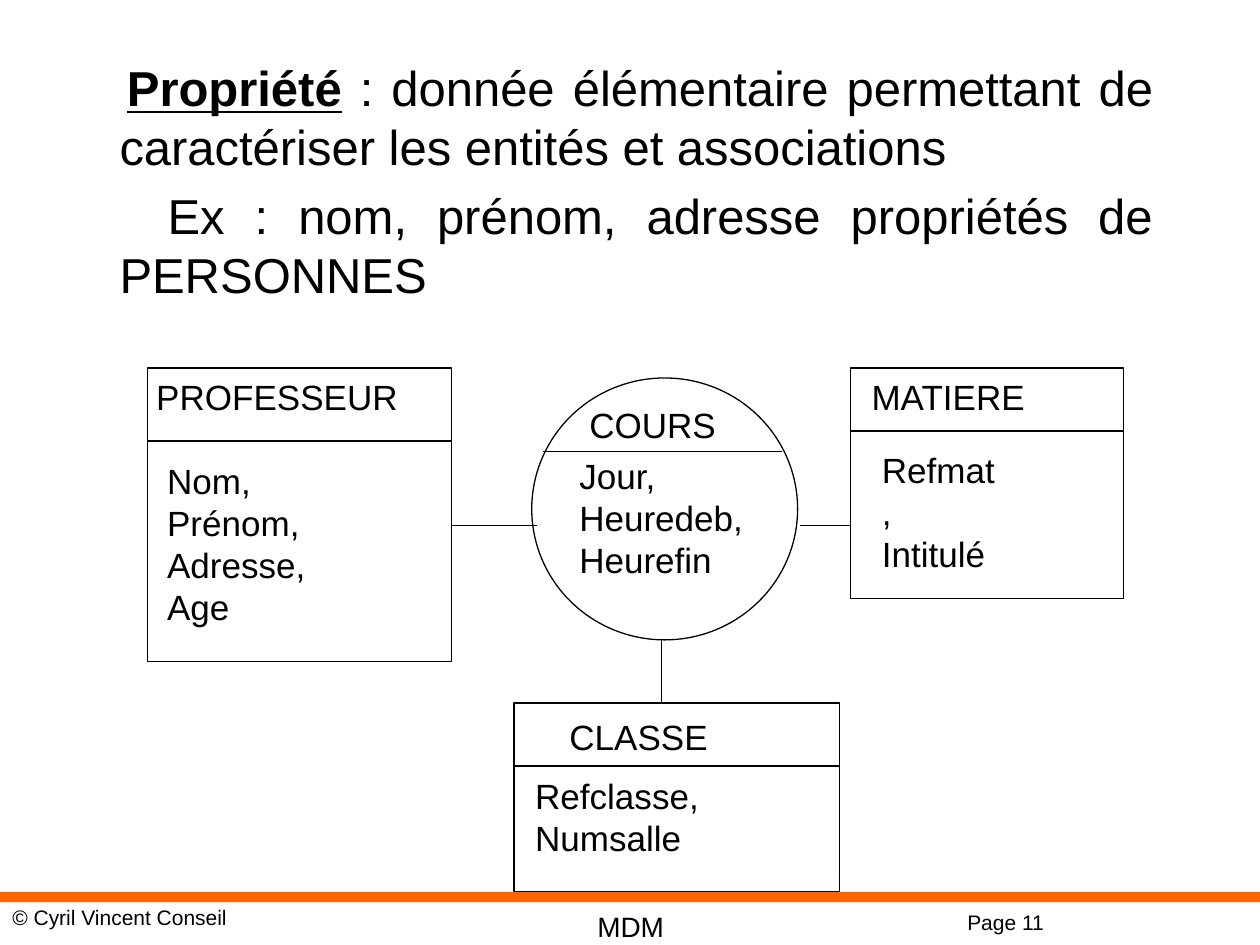
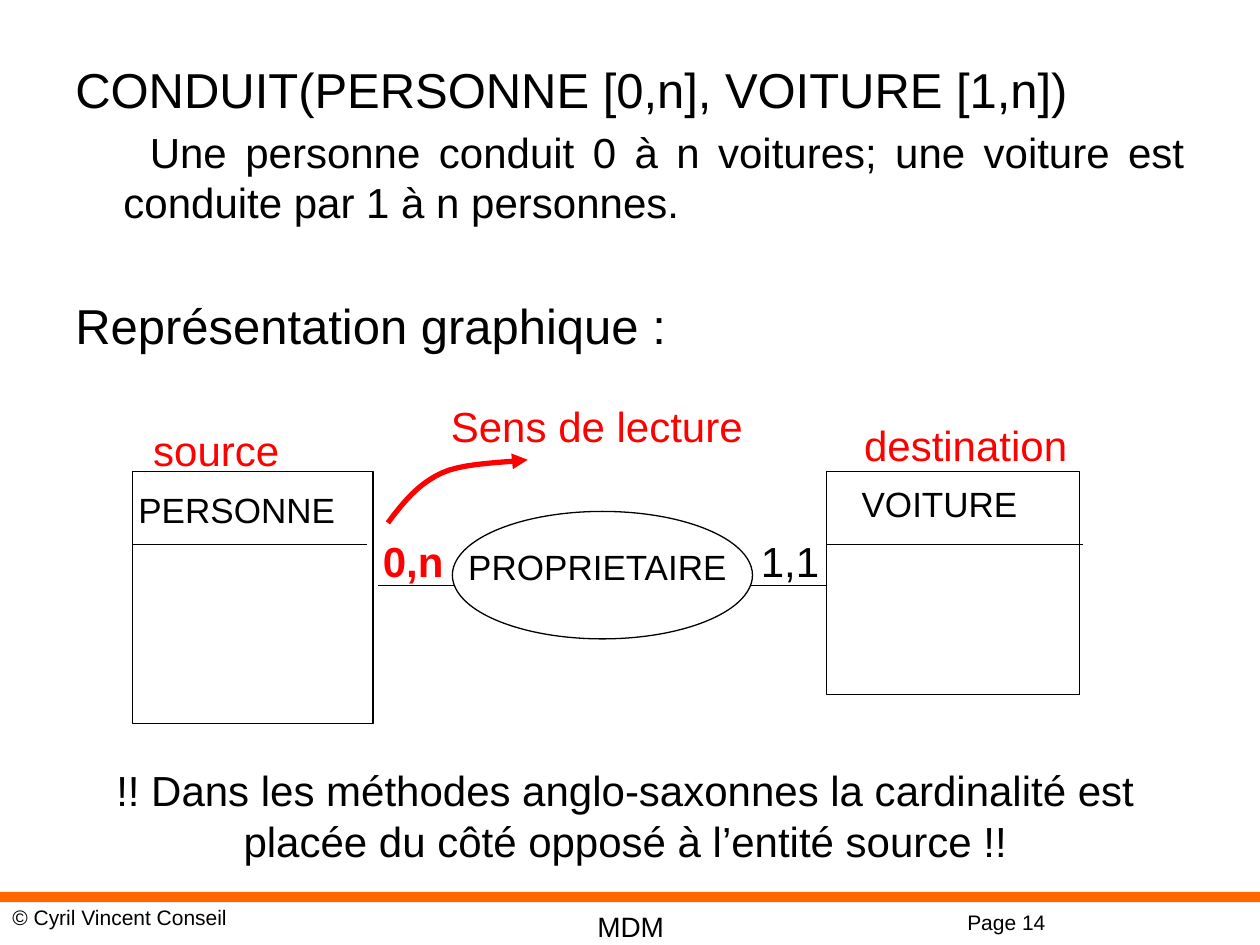
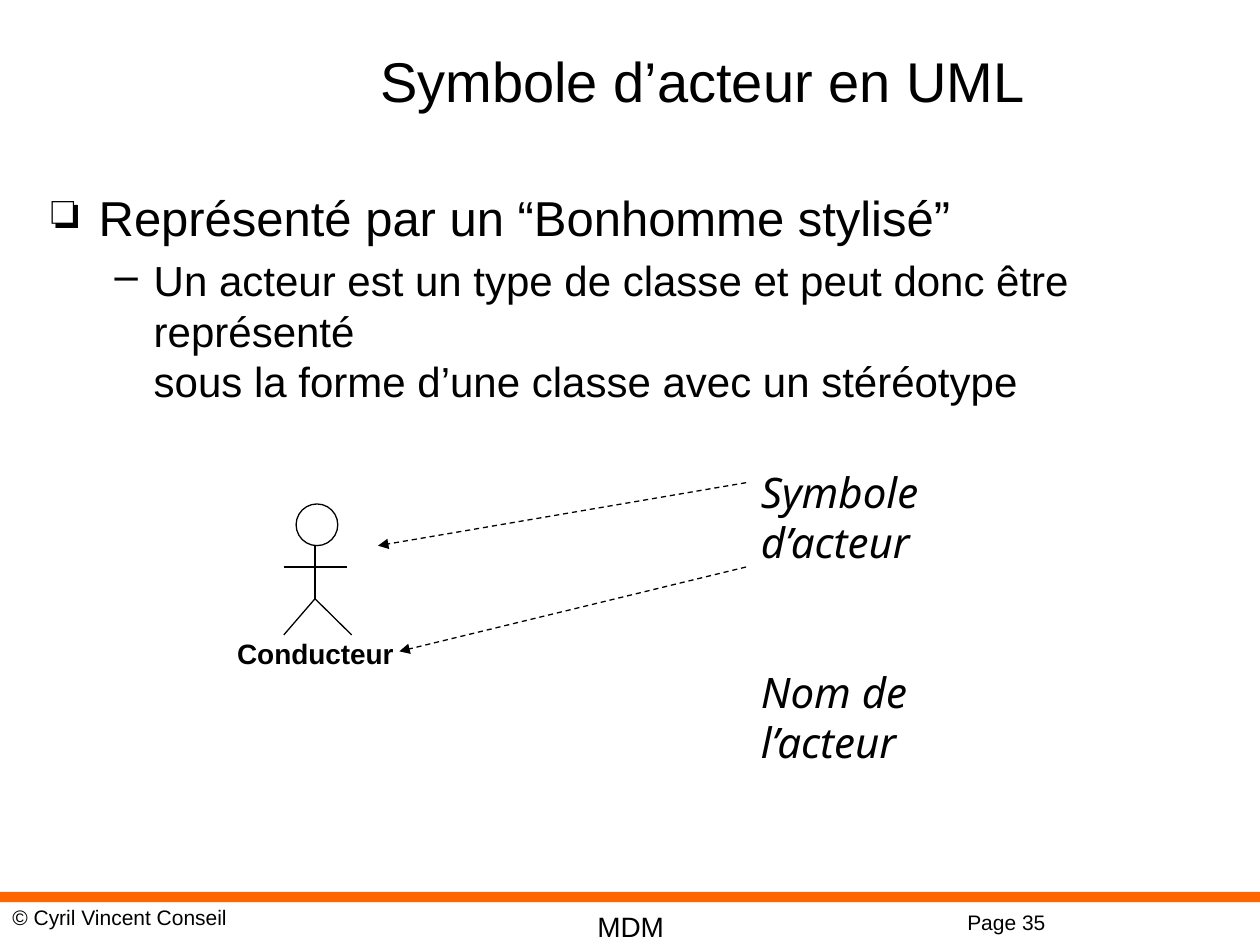
from dataclasses import dataclass, field

from lxml.etree import SubElement
from pptx import Presentation
from pptx.dml.color import RGBColor
from pptx.enum.dml import MSO_LINE_DASH_STYLE as Dash
from pptx.enum.shapes import MSO_CONNECTOR as Connector, MSO_SHAPE as Preset
from pptx.enum.text import MSO_ANCHOR as Anchor, PP_ALIGN as Align
from pptx.oxml.ns import qn
from pptx.util import Cm, Pt


@dataclass(frozen=True)
class Theme:
    """Colours, fonts and sizes shared by the slides."""
    ink: str = "000000"
    paper: str = "FFFFFF"
    accent: str = "FF6600"
    highlight: str = "FF0000"
    font: str = "Arial"
    note_font: str = "Noto Sans"
    title: int = 32
    heading: int = 28
    body: int = 24
    label: int = 20
    footer: int = 16
    small: int = 12
    thin: float = 0.75
    thick: float = 3


THEME = Theme()
BREAK = None


@dataclass
class Text:
    """One paragraph: its runs, paragraph format and indents in cm."""
    runs: list
    layout: dict = field(default_factory=dict)
    margin: float = 0
    indent: float = 0
    bullet: str = ""


def set_format(target, values):
    """Set each named attribute of the target."""
    for name, value in values.items():
        setattr(target, name, value)


def lengths(*values):
    """Turn centimetre numbers into lengths."""
    return [Cm(value) for value in values]


def write_paragraph(paragraph, text, size, color, style):
    """Fill a paragraph with formatted runs."""
    properties = paragraph._p.get_or_add_pPr()
    properties.set("marL", str(Cm(text.margin)))
    properties.set("indent", str(Cm(text.indent)))
    if text.bullet:
        SubElement(properties, qn("a:buChar")).set("char", text.bullet)
    set_format(paragraph, text.layout)
    for content, emphasis in text.runs:
        if content is BREAK:
            paragraph.add_line_break()
            continue
        run = paragraph.add_run()
        run.text = content
        set_format(run.font, {"name": THEME.font, "size": Pt(size), **style, **emphasis})
        run.font.color.rgb = RGBColor.from_string(emphasis_color(color))


def emphasis_color(color):
    """Return the given colour, or the ink colour by default."""
    return color or THEME.ink


def write_frame(frame, texts, size, color=None, wrap=True, **style):
    """Write paragraphs, given as strings or Text objects, in a text frame."""
    frame.word_wrap = wrap
    for index, text in enumerate(texts):
        paragraph = frame.paragraphs[0] if index == 0 else frame.add_paragraph()
        text = Text([(text, {})]) if isinstance(text, str) else text
        write_paragraph(paragraph, text, size, color, style)


def add_text(slide, box, texts, size, **options):
    """Add a text box."""
    shape = slide.shapes.add_textbox(*lengths(*box))
    write_frame(shape.text_frame, texts, size, **options)


def add_label(slide, box, *texts, size=THEME.label, **options):
    """Add a label whose lines never wrap."""
    add_text(slide, box, texts, size, wrap=False, **options)


def add_outline(slide, preset, box):
    """Add a white shape with a thin outline."""
    shape = slide.shapes.add_shape(preset, *lengths(*box))
    shape.shadow.inherit = False
    shape.fill.solid()
    shape.fill.fore_color.rgb = RGBColor.from_string(THEME.paper)
    set_line(shape.line, THEME.ink, THEME.thin)


def set_line(line, color, width):
    """Colour a line and set its width."""
    line.color.rgb = RGBColor.from_string(color)
    line.width = Pt(width)


def add_arrowhead(line):
    """Put a triangle at the end of a line."""
    SubElement(line._get_or_add_ln(), qn("a:tailEnd")).set("type", "triangle")


def add_line(slide, start, end):
    """Add a thin straight line and return it."""
    connector = slide.shapes.add_connector(Connector.STRAIGHT, *lengths(*start, *end))
    set_line(connector.line, THEME.ink, THEME.thin)
    SubElement(connector._element.spPr, qn("a:effectLst"))
    return connector


def add_dashed_arrow(slide, start, end):
    """Add a dashed arrow."""
    line = add_line(slide, start, end).line
    line.dash_style = Dash.DASH
    add_arrowhead(line)


def bezier(points, steps=10):
    """Sample a cubic curve after its first point."""
    weights = (1, 3, 3, 1)
    for step in range(1, steps + 1):
        t = step / steps
        yield tuple(
            Cm(sum(w * (1 - t) ** (3 - i) * t ** i * point[axis]
                   for i, (w, point) in enumerate(zip(weights, points))))
            for axis in (0, 1))


def add_curved_arrow(slide, points):
    """Add a thick curved arrow through chained cubic curves."""
    builder = slide.shapes.build_freeform(*lengths(*points[0]))
    for first in range(0, len(points) - 1, 3):
        builder.add_line_segments(list(bezier(points[first:first + 4])), close=False)
    shape = builder.convert_to_shape()
    shape.shadow.inherit = False
    shape.fill.background()
    set_line(shape.line, THEME.highlight, THEME.thick)
    add_arrowhead(shape.line)


def add_entity(slide, box, header, name, name_box, divider=None):
    """Add an entity box with its name above a divider."""
    left, top, width, _ = box
    add_outline(slide, Preset.RECTANGLE, box)
    add_line(slide, (left, top + header), (left + (divider or width), top + header))
    add_label(slide, name_box, name)


def add_footer(slide, page):
    """Add the orange band and the footer texts."""
    band = slide.shapes.add_shape(Preset.RECTANGLE, *lengths(0, 17.98, 25.4, 0.21))
    band.shadow.inherit = False
    band.fill.solid()
    band.fill.fore_color.rgb = RGBColor.from_string(THEME.accent)
    band.line.fill.background()
    add_text(slide, (19.25, 18.21, 3.38, 0.76), [f"Page {page}"], THEME.small)
    centred = Text([("MDM", {})], {"alignment": Align.CENTER})
    add_text(slide, (6.15, 18.21, 13.13, 0.94), [centred], THEME.footer)
    add_text(slide, (0, 18.11, 9.53, 0.76), ["© Cyril Vincent Conseil"], THEME.small)


def add_slide(presentation, layout, page):
    """Add a slide with its footer."""
    slide = presentation.slides.add_slide(presentation.slide_layouts.get_by_name(layout))
    add_footer(slide, page)
    return slide


def build_property_slide(presentation):
    """Build the slide that defines a property."""
    slide = add_slide(presentation, "Blank", 11)
    justified = {"alignment": Align.JUSTIFY}
    add_text(slide, (1.19, 1.04, 22.3, 15.9), [
        Text([("Propriété", {"bold": True, "underline": True}),
              (" : donnée élémentaire permettant de caractériser "
               "les entités et associations", {})], justified, 0.97, 0.15),
        Text([("Ex : nom, prénom, adresse propriétés de PERSONNES", {})],
             {**justified, "space_before": Pt(5.6)}, 0.97, 0.97),
    ], THEME.heading)

    add_entity(slide, (2.97, 7.42, 6.14, 5.92), 1.47, "PROFESSEUR", (2.9, 7.44, 5.38, 1.09))
    add_label(slide, (3.12, 9.14, 3.48, 3.63), "Nom,", "Prénom,", "Adresse,", "Age")
    add_entity(slide, (17.15, 7.42, 5.5, 4.65), 1.27, "MATIERE", (17.32, 7.44, 3.66, 1.09))
    add_label(slide, (17.53, 8.92, 2.97, 1.96), "Refmat,", "Intitulé")
    add_entity(slide, (10.36, 14.17, 6.56, 3.81), 1.27, "CLASSE", (11.23, 14.3, 3.3, 1.09))
    add_label(slide, (10.54, 15.49, 3.81, 1.96), "Refclasse,", "Numsalle")

    add_outline(slide, Preset.OVAL, (10.72, 7.62, 5.36, 5.28))
    add_label(slide, (11.63, 8, 3.07, 1.09), "COURS")
    add_text(slide, (11.43, 9.04, 4.7, 2.79), ["Jour,", "Heuredeb,", "Heurefin"], THEME.label)
    for start, end in (((10.95, 9.1), (15.77, 9.1)),
                       ((9.1, 10.59), (10.82, 10.59)),
                       ((16.13, 10.59), (17.15, 10.59)),
                       ((13.34, 12.9), (13.34, 14.17))):
        add_line(slide, start, end)


def build_cardinality_slide(presentation):
    """Build the slide on cardinalities and reading direction."""
    slide = add_slide(presentation, "Blank", 14)
    add_text(slide, (1.27, 1.07, 22.86, 15.88), [
        Text([("CONDUIT(PERSONNE [0,n], VOITURE [1,n])", {})]),
        Text([("Une personne conduit 0 à n voitures; une voiture est "
               "conduite par 1 à n personnes.", {"size": Pt(THEME.body)})],
             {"alignment": Align.JUSTIFY, "space_before": Pt(4.8)}, 0.97, 0.53),
        Text([("Représentation graphique :", {})], {"space_before": Pt(39)}),
    ], THEME.heading)
    centred = {"alignment": Align.CENTER}
    add_text(slide, (1.62, 15.29, 21.97, 2.29), [
        Text([("!! Dans les méthodes anglo-saxonnes la cardinalité est", {})], centred),
        Text([("placée du côté opposé à l’entité source !!", {})], centred),
    ], THEME.body)

    add_entity(slide, (2.67, 9.5, 4.85, 5.08), 1.47, "PERSONNE", (2.54, 9.73, 4.47, 1.09), 4.72)
    add_entity(slide, (16.66, 9.5, 5.11, 4.5), 1.47, "VOITURE", (17.12, 9.6, 3.66, 1.09), 5.18)
    add_line(slide, (7.62, 11.81), (16.66, 11.81))
    add_outline(slide, Preset.OVAL, (9.12, 10.31, 6.05, 2.57))
    add_label(slide, (9.19, 10.87, 5.77, 1.09), "PROPRIETAIRE")

    add_label(slide, (7.47, 10.67, 1.73, 1.27), "0,n",
              size=THEME.body, color=THEME.highlight, bold=True)
    add_label(slide, (15.09, 10.67, 1.68, 1.27), "1,1", size=THEME.body)
    add_curved_arrow(slide, [(7.82, 10.54), (8.13, 10.13), (8.43, 9.75), (8.92, 9.53),
                             (9.37, 9.32), (10.34, 9.32), (10.64, 9.27)])
    for caption, box in (("Sens de lecture", (8.84, 7.95, 6.4, 1.27)),
                         ("source", (2.84, 8.43, 3.05, 1.27)),
                         ("destination", (17.17, 8.33, 4.62, 1.27))):
        add_label(slide, box, caption, size=THEME.body, color=THEME.highlight)


def add_title(slide, box, title):
    """Place and format the title placeholder."""
    shape = slide.shapes.title
    set_format(shape, dict(zip(("left", "top", "width", "height"), lengths(*box))))
    shape.text_frame.vertical_anchor = Anchor.MIDDLE
    write_frame(shape.text_frame, [Text([(title, {})], {"alignment": Align.CENTER})], THEME.title)


def add_actor(slide, x, top):
    """Add a stick figure centred on x."""
    neck, arms, hips, feet = (top + drop for drop in (0.84, 1.27, 1.91, 2.64))
    add_outline(slide, Preset.OVAL, (x - 0.38, top, 0.84, 0.84))
    for start, end in (((x, neck), (x, hips)),
                       ((x - 0.63, arms), (x + 0.64, arms)),
                       ((x, hips), (x - 0.63, feet)),
                       ((x, hips), (x + 0.74, feet))):
        add_line(slide, start, end)


def build_actor_slide(presentation):
    """Build the slide on the actor symbol."""
    slide = add_slide(presentation, "Title Only", 35)
    add_title(slide, (3.3, 0.03, 21.74, 3.18), "Symbole d’acteur en UML")
    body = {"size": Pt(THEME.body)}
    add_text(slide, (0.79, 3.66, 23.88, 2.62), [
        Text([("Représenté par un “Bonhomme stylisé”", {})], {}, 0.95, -0.95, "❏"),
        Text([("Un acteur est un type de classe et peut donc être représenté", body),
              (BREAK, {}),
              ("sous la forme d’une classe avec un stéréotype", body)],
             {"level": 1, "space_before": Pt(4.8)}, 2.06, -0.79, "–"),
    ], THEME.heading)

    add_actor(slide, 6.35, 10.16)
    add_text(slide, (4.24, 12.7, 4.24, 0.79),
             [Text([("Conducteur", {})], {"alignment": Align.CENTER})], THEME.footer, bold=True)
    add_text(slide, (15.09, 9.27, 5, 3), [
        "Symbole d’acteur",
        Text([("Nom de l’acteur", {})], {"space_before": Pt(57)}),
    ], THEME.body, name=THEME.note_font, italic=True)
    add_dashed_arrow(slide, (15.04, 9.73), (7.62, 11))
    add_dashed_arrow(slide, (15.04, 11.43), (8.05, 13.13))


def main():
    """Build and save the presentation."""
    presentation = Presentation()
    set_format(presentation, {"slide_width": Cm(25.4), "slide_height": Cm(19.05)})
    build_property_slide(presentation)
    build_cardinality_slide(presentation)
    build_actor_slide(presentation)
    presentation.save("out.pptx")


if __name__ == "__main__":
    main()
